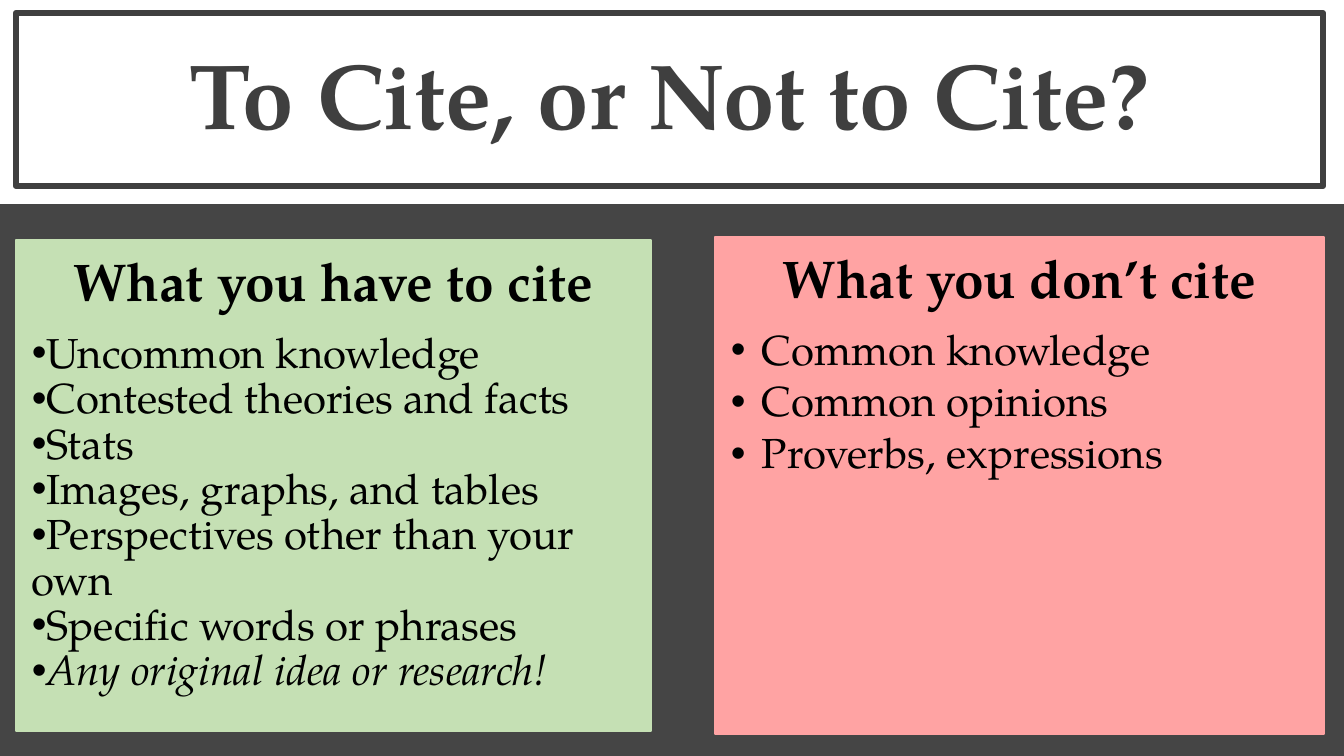
from lxml import etree
from pptx import Presentation
from pptx.dml.color import RGBColor
from pptx.enum import shapes, text
from pptx.oxml.ns import qn
from pptx.util import Pt

FONT = "TeX Gyre Pagella"
EMU_PER_PX = 914400 / 100.8
TITLE = "To Cite, or Not to Cite?"
LAST_IDEA = "Any original idea or research!"
CARDS = [
    {
        "at": (16, 240, 635, 491), "color": "C5E0B4", "indent": 0, "gap": 0,
        "heading": "What you have to cite",
        "items": [
            "Uncommon knowledge",
            "Contested theories and facts",
            "Stats",
            "Images, graphs, and tables",
            "Perspectives other than your own",
            "Specific words or phrases",
            LAST_IDEA,
        ],
    },
    {
        "at": (715, 237, 609, 497), "color": "FFA3A3", "indent": 31, "gap": 4.5,
        "heading": "What you don’t cite",
        "items": ["Common knowledge", "Common opinions", "Proverbs, expressions"],
    },
]


def px(length):
    return round(length * EMU_PER_PX)


def rgb(value):
    return RGBColor.from_string(value)


def add_box(page, at, fill, line=None, width=1):
    box = page.shapes.add_shape(shapes.MSO_SHAPE.RECTANGLE, *map(px, at))
    box.shadow.inherit = False
    box.fill.solid()
    box.fill.fore_color.rgb = rgb(fill)
    if line:
        box.line.color.rgb = rgb(line)
        box.line.width = Pt(width)
    else:
        box.line.fill.background()
    box.text_frame.word_wrap = True
    return box


def write(para, words, size, color="000000", bold=False, centred=False, after=0):
    para.text = words
    para.alignment = text.PP_ALIGN.CENTER if centred else text.PP_ALIGN.LEFT
    para.line_spacing = 0.9
    para.space_after = Pt(after)
    font = para.font
    font.name, font.size, font.bold = FONT, Pt(size), bold
    font.color.rgb = rgb(color)


def add_bullet(para, indent):
    props = para._p.get_or_add_pPr()
    props.set("marL", str(px(indent)))
    props.set("indent", str(-px(indent)))
    etree.SubElement(props, qn("a:buFont"), typeface="Arial")
    etree.SubElement(props, qn("a:buChar"), char="•")


def add_card(page, card):
    frame = add_box(page, card["at"], card["color"], card["color"]).text_frame
    frame.vertical_anchor = text.MSO_ANCHOR.TOP
    frame.margin_left = frame.margin_right = px(16)
    frame.margin_top = frame.margin_bottom = px(16)
    write(frame.paragraphs[0], card["heading"], 38, bold=True, centred=True, after=13.3)
    for item in card["items"]:
        para = frame.add_paragraph()
        add_bullet(para, card["indent"])
        write(para, item, 30, after=card["gap"])
        if item == LAST_IDEA:
            para.font.italic = True


def main():
    deck = Presentation()
    deck.slide_width, deck.slide_height = px(1344), px(756)
    page = deck.slides.add_slide(deck.slide_layouts[6])
    page.background.fill.solid()
    page.background.fill.fore_color.rgb = rgb("454545")

    add_box(page, (0, -1, 1344, 205), "FFFFFF")
    title = add_box(page, (16, 13, 1307, 173), "FFFFFF", "3F3F3F", 4.5)
    title.text_frame.vertical_anchor = text.MSO_ANCHOR.MIDDLE
    write(title.text_frame.paragraphs[0], TITLE, 66, "3F3F3F", bold=True, centred=True)
    for card in CARDS:
        add_card(page, card)
    deck.save("out.pptx")


if __name__ == "__main__":
    main()
